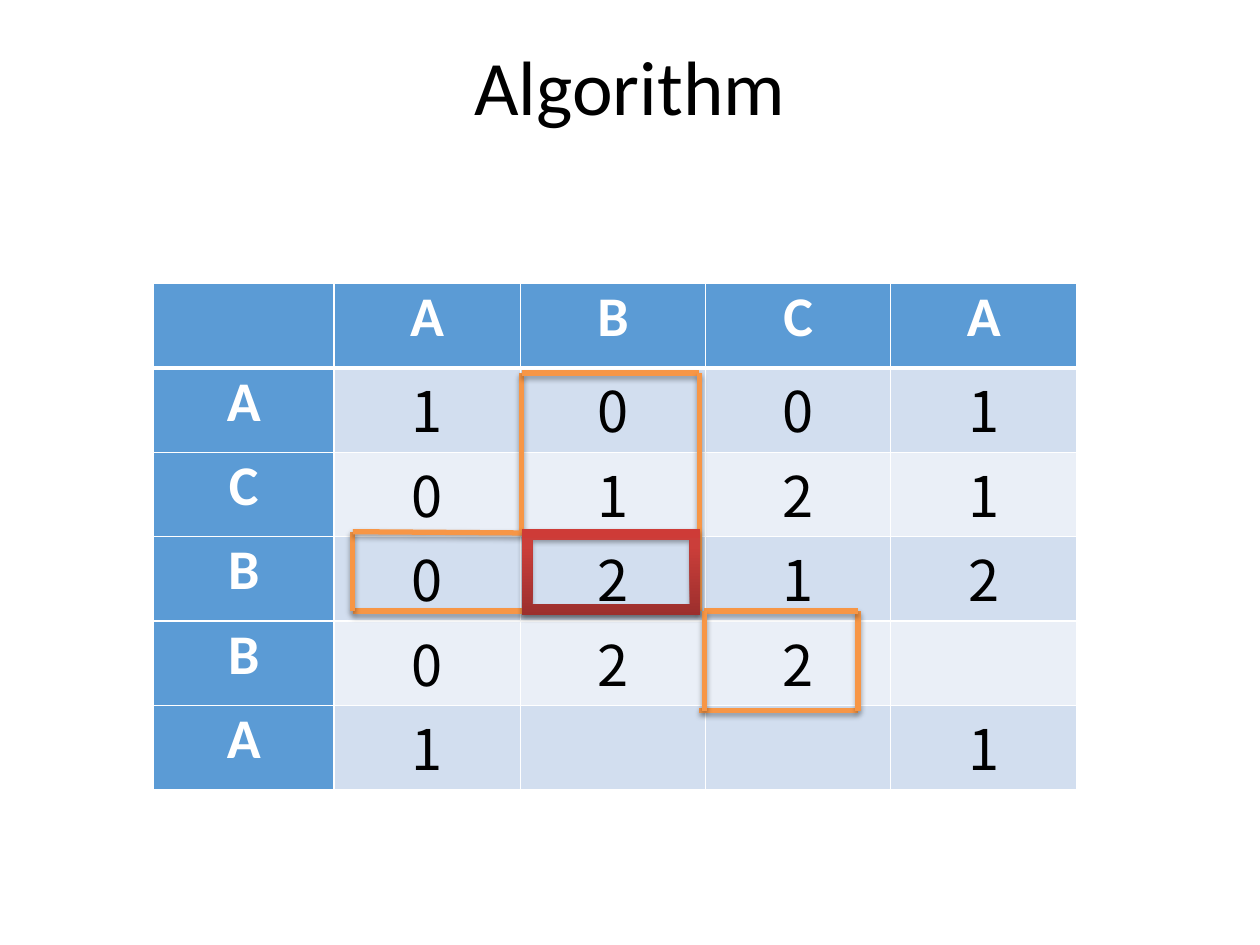
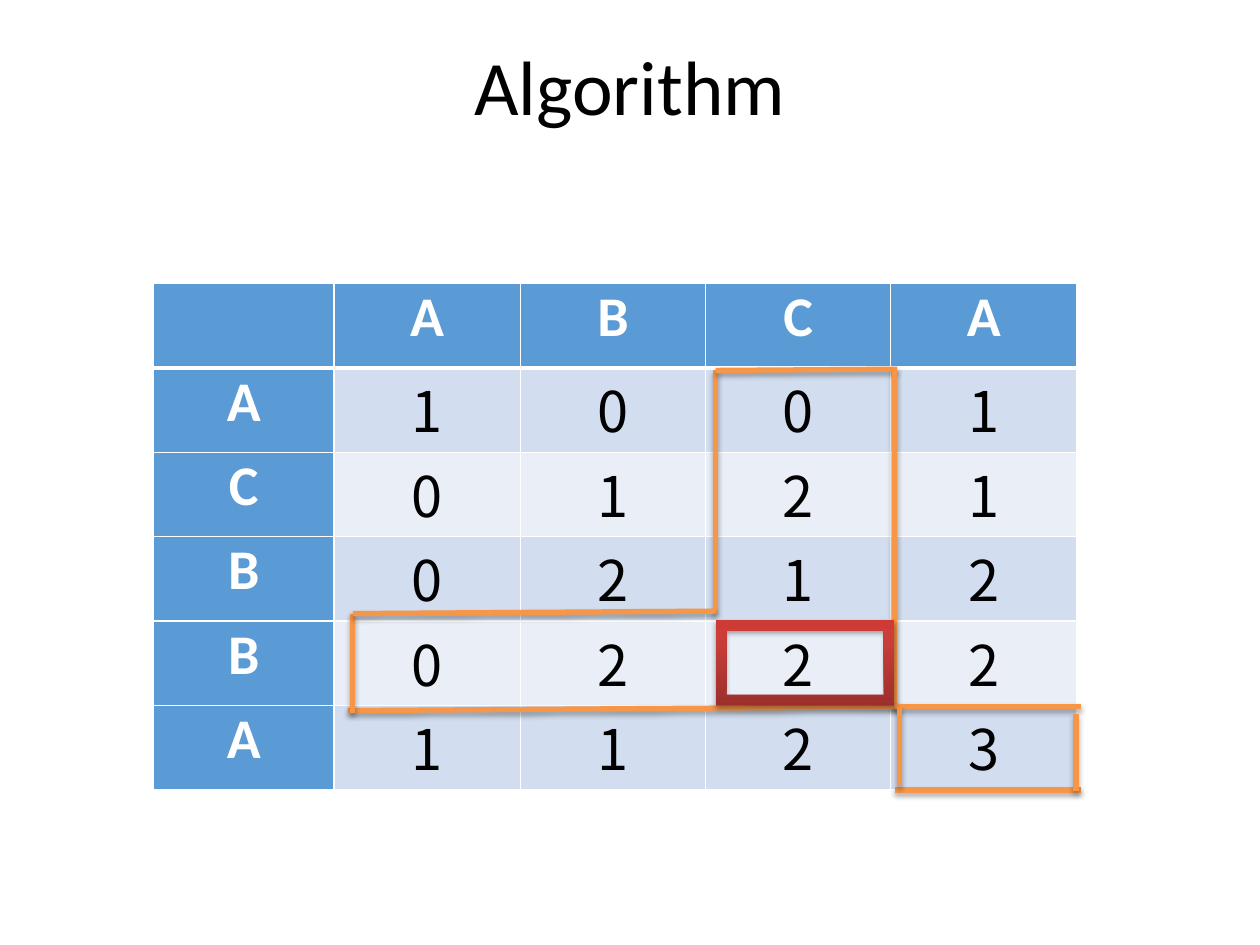
from dataclasses import dataclass
from itertools import pairwise

from lxml import etree
from pptx import Presentation
from pptx.dml.color import RGBColor
from pptx.enum.shapes import MSO_CONNECTOR, MSO_SHAPE
from pptx.enum.text import MSO_ANCHOR, PP_ALIGN
from pptx.oxml.ns import qn
from pptx.util import Inches, Pt

CENTER = PP_ALIGN.CENTER
MIDDLE = MSO_ANCHOR.MIDDLE
STRAIGHT = MSO_CONNECTOR.STRAIGHT
FRAME = MSO_SHAPE.FRAME
TITLE_ONLY = 5


@dataclass(frozen=True)
class Theme:
    text: str = "000000"
    white: str = "FFFFFF"
    header: str = "5B9BD5"
    bands: tuple = ("D2DEEF", "EAEFF7")
    outline: str = "F79646"
    frame: tuple = ((0, "9C2F2D"), (80, "CB3E3A"), (100, "CE3B37"))
    font: str = "Calibri"
    digit_font: str = "Noto Sans CJK SC"
    title_size: int = 44
    cell_size: int = 32
    outline_width: int = 3


THEME = Theme()

# Table geometry: left, top, width, height
TITLE_BOX = (0.5, 0.05, 9, 1.25)
TABLE_BOX = (1.22, 2.25, 7.33, 4.02)
COLUMN_WIDTHS = (1.43, 1.48, 1.47, 1.47, 1.48)
FRAME_SIZE = (1.42, 0.68)

# Matrix of the two sequences; "-" is a cell not filled in yet
COLUMN_SEQUENCE = "ABCA"
ROW_SEQUENCE = "ACBBA"

# Outline paths and frame corners are measured from the table's corner
STEPS = (
    {
        "values": ("1001", "0121", "0212", "022-", "1--1"),
        "outlines": (
            ((2.92, 1.97), (2.92, 0.71), (4.33, 0.71), (4.33, 2.6),
             (1.58, 2.6), (1.58, 1.97), (2.95, 1.98)),
            ((4.33, 3.39), (5.59, 3.39), (5.59, 2.6), (4.37, 2.6), (4.37, 3.39)),
        ),
        "frame": (2.92, 1.95),
    },
    {
        "values": ("1001", "0121", "0212", "0222", "1123"),
        "outlines": (
            ((4.46, 2.62), (4.46, 0.69), (5.9, 0.68)),
            ((5.88, 0.68), (5.88, 3.36)),
            ((5.9, 3.36), (1.54, 3.39)),
            ((1.58, 3.41), (1.58, 2.62), (4.46, 2.6)),
            ((7.36, 3.36), (5.88, 3.36)),
            ((7.36, 4.02), (5.88, 4.02)),
            ((7.32, 4.03), (7.32, 3.42)),
            ((5.92, 3.99), (5.92, 3.36)),
        ),
        "frame": (4.46, 2.67),
    },
)


def rgb(color):
    return RGBColor.from_string(color)


def add_xml(parent, tag, **attributes):
    return etree.SubElement(parent, qn(tag), {k: str(v) for k, v in attributes.items()})


def style_font(font, name, size, color, bold=False):
    font.name, font.size, font.bold = name, Pt(size), bold
    font.color.rgb = rgb(color)


def add_shadow(shape):
    effects = add_xml(shape._element.spPr, "a:effectLst")
    shadow = add_xml(effects, "a:outerShdw", blurRad=Pt(3.1), dist=Pt(1.8),
                     dir=90 * 60000, rotWithShape=0)
    color = add_xml(shadow, "a:srgbClr", val=THEME.text)
    add_xml(color, "a:alpha", val=35000)


def add_title(slide, text, box):
    title = slide.shapes.title
    title.left, title.top, title.width, title.height = map(Inches, box)
    tf = title.text_frame
    tf.text = text
    tf.vertical_anchor = MIDDLE
    p = tf.paragraphs[0]
    p.alignment = CENTER
    style_font(p.runs[0].font, THEME.font, THEME.title_size, THEME.text)


def set_borders(cell, top, bottom):
    tc_pr = cell._tc.get_or_add_tcPr()
    for side, width in (("L", 1), ("R", 1), ("T", top), ("B", bottom)):
        line = add_xml(tc_pr, f"a:ln{side}", w=Pt(width))
        add_xml(add_xml(line, "a:solidFill"), "a:srgbClr", val=THEME.white)


def add_matrix(slide, values, box):
    rows = ["-" + COLUMN_SEQUENCE]
    rows += [letter + digits for letter, digits in zip(ROW_SEQUENCE, values)]
    table = slide.shapes.add_table(len(rows), len(rows[0]), *map(Inches, box)).table
    for column, width in zip(table.columns, COLUMN_WIDTHS):
        column.width = Inches(width)

    for r, row in enumerate(rows):
        table.rows[r].height = Inches(box[3] / len(rows))
        for c, symbol in enumerate(row):
            cell = table.cell(r, c)
            is_header = r == 0 or c == 0
            cell.margin_left = cell.margin_right = Inches(0.07)
            cell.margin_top = cell.margin_bottom = 0
            # A thicker rule sets off the header row
            set_borders(cell, 3 if r == 1 else 1, 3 if r == 0 else 1)
            cell.fill.solid()
            cell.fill.fore_color.rgb = rgb(
                THEME.header if is_header else THEME.bands[(r - 1) % 2])
            if symbol == "-":
                continue
            cell.text = symbol
            p = cell.text_frame.paragraphs[0]
            p.alignment = CENTER
            style_font(p.runs[0].font,
                       THEME.font if is_header else THEME.digit_font,
                       THEME.cell_size,
                       THEME.white if is_header else THEME.text, is_header)


def add_outline(slide, points, box):
    left, top = box[:2]
    for (x1, y1), (x2, y2) in pairwise(points):
        ends = (left + x1, top + y1, left + x2, top + y2)
        line = slide.shapes.add_connector(STRAIGHT, *map(Inches, ends))
        line.line.color.rgb = rgb(THEME.outline)
        line.line.width = Pt(THEME.outline_width)
        add_shadow(line)


def add_frame(slide, corner, box):
    place = (box[0] + corner[0], box[1] + corner[1], *FRAME_SIZE)
    frame = slide.shapes.add_shape(FRAME, *map(Inches, place))
    frame.fill.gradient()
    frame.fill.gradient_angle = 90
    # Replace the two default stops with the theme's three
    stops = frame._element.spPr.find(".//" + qn("a:gsLst"))
    for stop in list(stops):
        stops.remove(stop)
    for position, color in THEME.frame:
        add_xml(add_xml(stops, "a:gs", pos=position * 1000), "a:srgbClr", val=color)
    frame.line.fill.background()
    add_shadow(frame)


def add_step_slide(prs, step):
    slide = prs.slides.add_slide(prs.slide_layouts[TITLE_ONLY])
    add_title(slide, "Algorithm", TITLE_BOX)
    add_matrix(slide, step["values"], TABLE_BOX)
    for points in step["outlines"]:
        add_outline(slide, points, TABLE_BOX)
    add_frame(slide, step["frame"], TABLE_BOX)


def main():
    prs = Presentation()
    prs.slide_width, prs.slide_height = Inches(10), Inches(7.5)
    for step in STEPS:
        add_step_slide(prs, step)
    prs.save("out.pptx")


if __name__ == "__main__":
    main()
